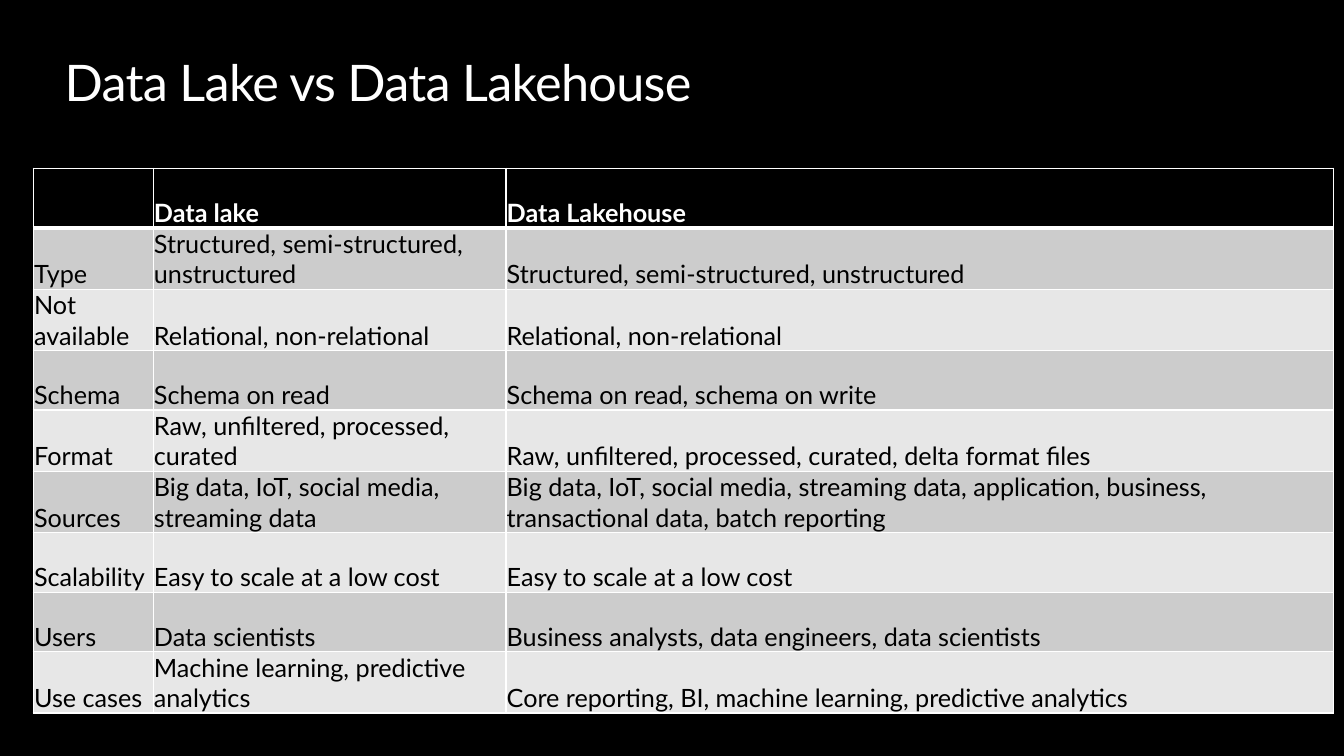
import pptx
import pptx.dml.color
import pptx.enum.text
import pptx.oxml
import pptx.oxml.ns
import pptx.util
from dataclasses import dataclass

Cm = pptx.util.Cm
Pt = pptx.util.Pt


@dataclass(frozen=True)
class Theme:
    font: str = "Lato"
    dark: str = "000000"
    light: str = "FFFFFF"
    bands: tuple = ("CCCCCC", "E7E7E7")
    title_size: float = 36
    cell_size: float = 18
    thin: float = 1
    thick: float = 3


class SlideBuilder:
    """Holds the theme and the current slide."""

    def __init__(self, deck, theme):
        self.theme = theme
        self.page = deck.slides.add_slide(deck.slide_layouts[5])
        self.paint(self.page.background.fill, theme.dark)

    def paint(self, fill, color):
        fill.solid()
        fill.fore_color.rgb = pptx.dml.color.RGBColor.from_string(color)

    def style(self, paragraph, size, color, bold=False):
        paragraph.alignment = pptx.enum.text.PP_ALIGN.LEFT
        font = paragraph.font
        font.name, font.size, font.bold = self.theme.font, Pt(size), bold
        font.color.rgb = pptx.dml.color.RGBColor.from_string(color)

    def title(self, text, left, top, width, height):
        box = self.page.shapes.title
        box.left, box.top, box.width, box.height = left, top, width, height
        frame = box.text_frame
        frame.margin_left = frame.margin_right = 0
        frame.margin_top = frame.margin_bottom = 0
        frame.word_wrap = True
        frame.text = text
        paragraph = frame.paragraphs[0]
        self.style(paragraph, self.theme.title_size, self.theme.light)
        # Slightly tightened letter spacing, in hundredths of a point
        paragraph.runs[0].font._element.set("spc", "-50")

    def border(self, cell, side, width):
        cell._tc.get_or_add_tcPr().append(pptx.oxml.parse_xml(
            f'<a:ln{side} {pptx.oxml.ns.nsdecls("a")} w="{Pt(width)}">'
            f'<a:solidFill><a:srgbClr val="{self.theme.light}"/></a:solidFill>'
            f'</a:ln{side}>'))

    def cell(self, cell, text, row):
        theme = self.theme
        header = row == 0
        # Borders, with a thick rule between header and body
        widths = {"L": theme.thin, "R": theme.thin,
                  "T": theme.thick if row == 1 else theme.thin,
                  "B": theme.thick if header else theme.thin}
        for side, width in widths.items():
            self.border(cell, side, width)
        self.paint(cell.fill, theme.dark if header else theme.bands[(row - 1) % 2])
        # Text
        cell.margin_left = cell.margin_right = cell.margin_top = Cm(0.02)
        cell.margin_bottom = 0
        cell.vertical_anchor = pptx.enum.text.MSO_ANCHOR.BOTTOM
        cell.text = text
        self.style(cell.text_frame.paragraphs[0], theme.cell_size,
                   theme.light if header else theme.dark, header)

    def table(self, rows, left, top, widths, row_height):
        table = self.page.shapes.add_table(
            len(rows), len(widths), left, top,
            sum(widths), row_height * len(rows)).table
        table.first_row = table.horz_banding = False
        for column, width in zip(table.columns, widths):
            column.width = width
        for index, texts in enumerate(rows):
            table.rows[index].height = row_height
            for cell, text in zip(table.rows[index].cells, texts):
                self.cell(cell, text, index)


COMPARISON = [
    ("", "Data lake", "Data Lakehouse"),
    ("Type", "Structured, semi-structured, unstructured",
     "Structured, semi-structured, unstructured"),
    ("Not available", "Relational, non-relational", "Relational, non-relational"),
    ("Schema", "Schema on read", "Schema on read, schema on write"),
    ("Format", "Raw, unfiltered, processed, curated",
     "Raw, unfiltered, processed, curated, delta format files"),
    ("Sources", "Big data, IoT, social media, streaming data",
     "Big data, IoT, social media, streaming data, application, business, "
     "transactional data, batch reporting"),
    ("Scalability", "Easy to scale at a low cost", "Easy to scale at a low cost"),
    ("Users", "Data scientists",
     "Business analysts, data engineers, data scientists"),
    ("Use cases", "Machine learning, predictive analytics",
     "Core reporting, BI, machine learning, predictive analytics"),
]

deck = pptx.Presentation()
deck.slide_width, deck.slide_height = Cm(33.87), Cm(19.05)

# Title and comparison table
slide = SlideBuilder(deck, Theme())
slide.title("Data Lake vs Data Lakehouse", Cm(1.63), Cm(1.27), Cm(30.6), Cm(1.55))
slide.table(COMPARISON, Cm(0.84), Cm(4.24), [Cm(3.02), Cm(8.89), Cm(20.85)], Cm(1.5))

deck.save("out.pptx")
